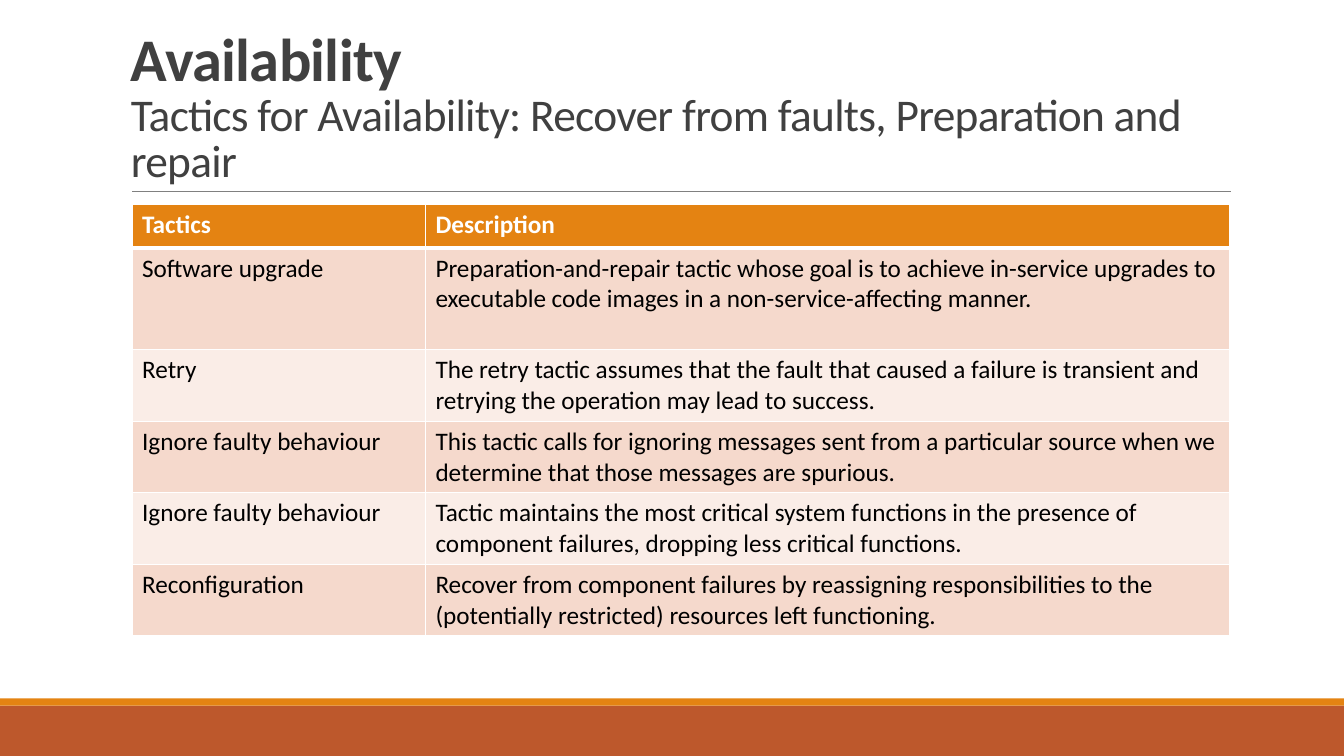
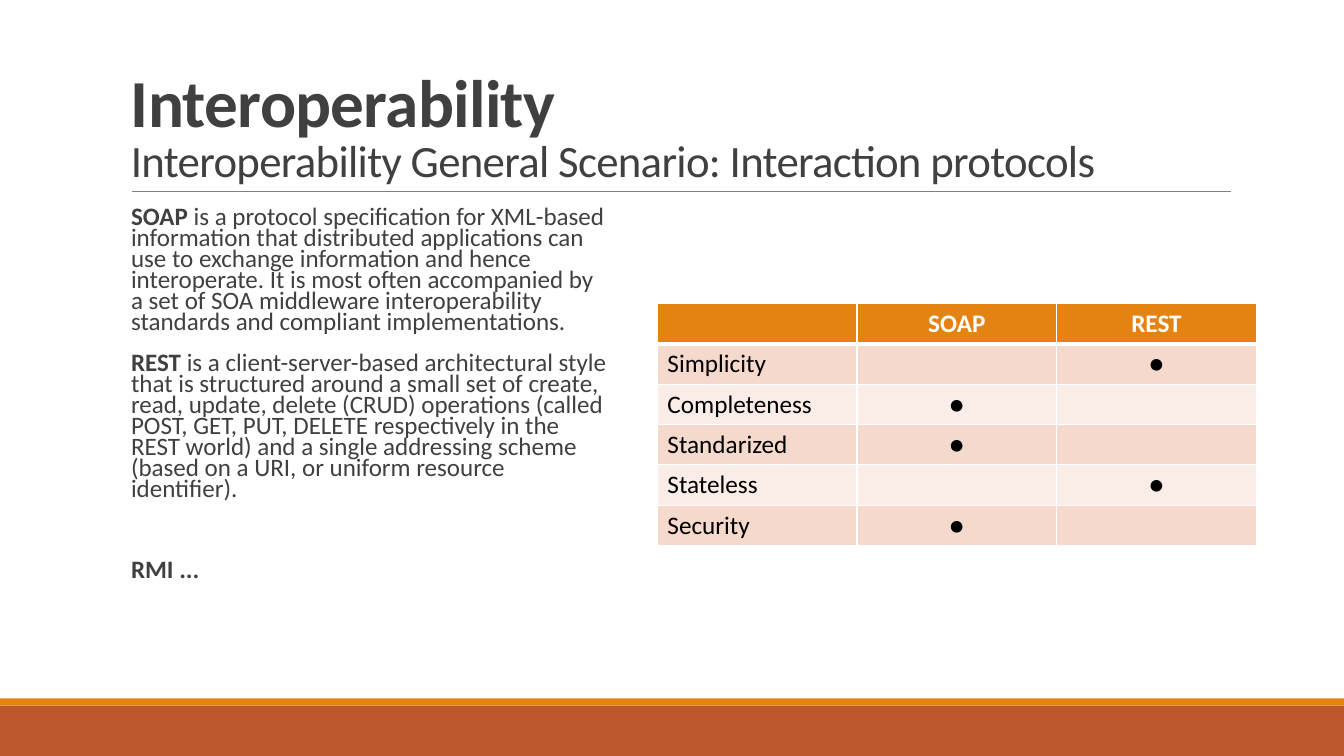
from lxml import etree
from pptx import Presentation
from pptx.dml.color import RGBColor
from pptx.enum.shapes import MSO_CONNECTOR, MSO_SHAPE
from pptx.enum.text import MSO_ANCHOR, PP_ALIGN
from pptx.oxml.ns import qn
from pptx.util import Inches, Pt

RECT = MSO_SHAPE.RECTANGLE
LINE = MSO_CONNECTOR.STRAIGHT
TOP, BOTTOM = MSO_ANCHOR.TOP, MSO_ANCHOR.BOTTOM
LEFT, CENTER = PP_ALIGN.LEFT, PP_ALIGN.CENTER

FONT = "Calibri"
RUST, ORANGE, GRAY, INK = "BD582C", "E48312", "808080", "404040"
WHITE, BLACK = "FFFFFF", "000000"
BANDS = ("F5D9CC", "FAEDE7")
DOT = "●"


def color(code):
    return RGBColor.from_string(code)


class Deck:
    """Holds the shared style and the current slide."""

    def __init__(self):
        self.prs = Presentation()
        self.prs.slide_width = Inches(13.33)
        self.prs.slide_height = Inches(7.5)
        self.slide = None

    def add(self, title, size, sub, subsize):
        self.slide = self.prs.slides.add_slide(self.prs.slide_layouts[6])
        # Footer bands and title rule
        self.band(7, 0.5, RUST)
        self.band(6.93, 0.07, ORANGE)
        self.rule(1.31, 12.21, 1.9)
        # Title with subtitle
        frame = self.box(1.2, 0.31, 11, 1.59, BOTTOM)
        para = frame.paragraphs[0]
        para.line_spacing = 0.85
        self.run(para, title, size, INK, True, -50)
        para.add_line_break()
        self.run(para, sub, subsize, INK, False, -50)

    def band(self, top, height, fill):
        shape = self.slide.shapes.add_shape(
            RECT, 0, Inches(top), self.prs.slide_width, Inches(height))
        shape.shadow.inherit = False
        shape.fill.solid()
        shape.fill.fore_color.rgb = color(fill)
        shape.line.fill.background()

    def rule(self, left, right, top):
        line = self.slide.shapes.add_connector(
            LINE, Inches(left), Inches(top), Inches(right), Inches(top))
        line.line.color.rgb = color(GRAY)
        line.line.width = Pt(0.5)
        etree.SubElement(line._element.spPr, qn("a:effectLst"))

    def box(self, left, top, width, height, anchor):
        frame = self.slide.shapes.add_textbox(
            Inches(left), Inches(top), Inches(width), Inches(height)).text_frame
        frame.word_wrap = True
        frame.vertical_anchor = anchor
        return frame

    def run(self, para, text, size, ink, bold=False, track=0):
        run = para.add_run()
        run.text = text
        font = run.font
        font.name, font.size, font.bold = FONT, Pt(size), bold
        font.color.rgb = color(ink)
        if track:
            run._r.get_or_add_rPr().set("spc", str(track))

    def body(self, left, top, width, height, paras):
        """Each paragraph is its space before and (text, bold) runs."""
        frame = self.box(left, top, width, height, TOP)
        frame.margin_left = frame.margin_right = 0
        for i, (before, runs) in enumerate(paras):
            para = frame.add_paragraph() if i else frame.paragraphs[0]
            para.line_spacing = 0.7
            para.space_before, para.space_after = Pt(before), Pt(2)
            for text, bold in runs:
                self.run(para, text, 17.9, INK, bold)

    def table(self, left, top, cols, heights, rows, aligns):
        table = self.slide.shapes.add_table(
            len(rows), len(cols), Inches(left), Inches(top),
            Inches(sum(cols)), Inches(sum(heights))).table
        for col, width in zip(table.columns, cols):
            col.width = Inches(width)
        for r, (row, height) in enumerate(zip(rows, heights)):
            table.rows[r].height = Inches(height)
            for c, text in enumerate(row):
                self.cell(table.cell(r, c), text, r, aligns[c])

    def cell(self, cell, text, row, align):
        head = row == 0
        cell.fill.solid()
        cell.fill.fore_color.rgb = color(ORANGE if head else BANDS[(row - 1) % 2])
        para = cell.text_frame.paragraphs[0]
        para.alignment = align
        if text:
            self.run(para, text, 18, WHITE if head else BLACK, head)
        else:
            para.font.size = Pt(18)
        # White borders, thick around the header's lower edge
        props = cell._tc.get_or_add_tcPr()
        for i, side in enumerate("LRTB"):
            thick = (head and side == "B") or (row == 1 and side == "T")
            edge = etree.Element(qn("a:ln" + side), w=str(Pt(3 if thick else 1)))
            fill = etree.SubElement(edge, qn("a:solidFill"))
            etree.SubElement(fill, qn("a:srgbClr"), val=WHITE)
            props.insert(i, edge)


def main():
    deck = Deck()

    # Availability tactics
    deck.add("Availability", 43.2,
             "Tactics for Availability: Recover from faults, Preparation and repair", 32.4)
    deck.table(1.31, 2.03, [2.91, 7.98], [0.43, 1.01] + [0.71] * 4, [
        ("Tactics", "Description"),
        ("Software upgrade",
         "Preparation-and-repair tactic whose goal is to achieve in-service upgrades to "
         "executable code images in a non-service-affecting manner."),
        ("Retry",
         "The retry tactic assumes that the fault that caused a failure is transient and "
         "retrying the operation may lead to success."),
        ("Ignore faulty behaviour",
         "This tactic calls for ignoring messages sent from a particular source when we "
         "determine that those messages are spurious."),
        ("Ignore faulty behaviour",
         "Tactic maintains the most critical system functions in the presence of "
         "component failures, dropping less critical functions."),
        ("Reconfiguration",
         "Recover from component failures by reassigning responsibilities to the "
         "(potentially restricted) resources left functioning."),
    ], [LEFT, LEFT])

    # Interaction protocols
    deck.add("Interoperability", 48,
             "Interoperability General Scenario: Interaction protocols", 32)
    deck.body(1.3, 2.02, 4.73, 4.4, [
        (12, [("SOAP", True),
              (" is a protocol specification for XML-based information that distributed "
               "applications can use to exchange information and hence interoperate. It is "
               "most often accompanied by a set of SOA middleware interoperability "
               "standards and compliant implementations.", False)]),
        (12, [("REST ", True),
              ("is a client-server-based architectural style that is structured around a "
               "small set of create, read, update, delete (CRUD) operations (called POST, "
               "GET, PUT, DELETE respectively in the REST world) and a single addressing "
               "scheme (based on a URI, or uniform resource identifier).", False)]),
        (41, [("RMI ...", True)]),
    ])
    deck.table(6.52, 3.01, [1.98] * 3, [0.4] * 6, [
        ("", "SOAP", "REST"),
        ("Simplicity", "", DOT),
        ("Completeness", DOT, ""),
        ("Standarized", DOT, ""),
        ("Stateless", "", DOT),
        ("Security", DOT, ""),
    ], [LEFT, CENTER, CENTER])

    deck.prs.save("out.pptx")


if __name__ == "__main__":
    main()
